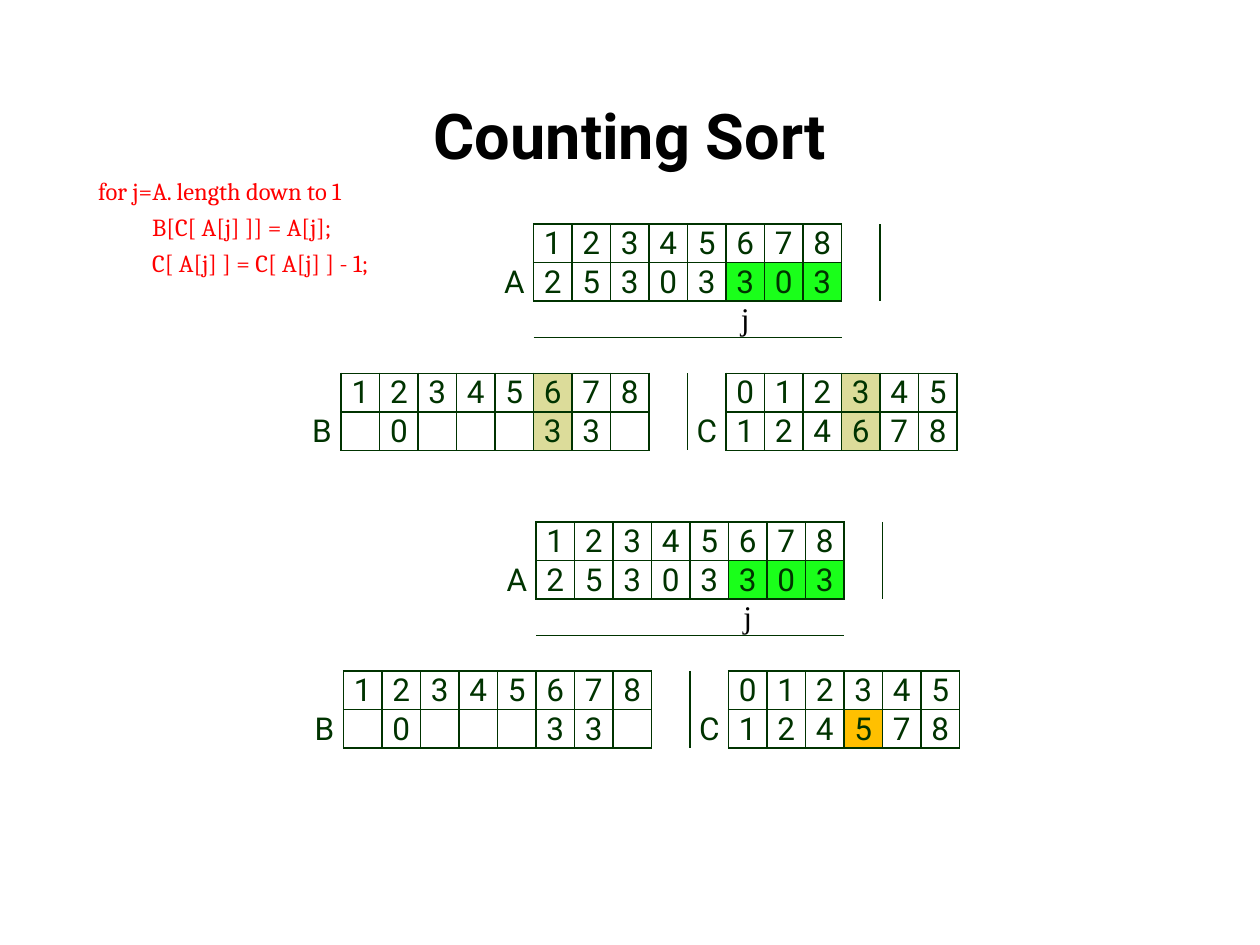
"""Build the counting sort slide with two array states."""
from dataclasses import dataclass, field
from typing import Any

from lxml import etree
from pptx import Presentation
from pptx import util as u
from pptx.dml import color
from pptx.enum import text as t
from pptx.oxml import ns

BLACK = color.RGBColor(0x00, 0x00, 0x00)
RED = color.RGBColor(0xFF, 0x00, 0x00)
DARK = color.RGBColor(0x00, 0x33, 0x00)
GREEN = color.RGBColor(0x1A, 0xFF, 0x1A)
KHAKI = color.RGBColor(0xDC, 0xDC, 0x9A)
AMBER = color.RGBColor(0xFF, 0xC0, 0x00)

PLAIN = "{2D5ABB26-0587-4C30-8999-92F81FD0307C}"
SIDES = {"L": (0, -1), "R": (0, 1), "T": (-1, 0), "B": (1, 0)}
HEAD = ["......12345678...", ".....A25303303...", "...........j.....",
        ".................", ".12345678..012345"]
DONE = {(1, col): GREEN for col in (11, 12, 13)}
CODE = [("for j=A. length down to 1", 0),
        ("B[C[ A[j] ]] = A[j];", 1.09),
        ("C[ A[j] ] = C[ A[j] ] - 1;", 1.09)]


@dataclass
class State:
    left: float
    top: float
    last: str
    fills: dict[tuple[int, int], color.RGBColor] = field(default_factory=dict)


STATES = [
    State(6.1, 4.52, "B 0   33 .C124678",
          {(row, col): KHAKI for row in (4, 5) for col in (6, 14)}),
    State(6.15, 10.52, "B 0   33 .C124578", {(5, 14): AMBER}),
]


def apply(obj: Any, vals: dict[str, Any]) -> None:
    for name, val in vals.items():
        setattr(obj, name, val)


def style(run: Any, face: str, size: float, tint: color.RGBColor,
          bold: bool = False) -> None:
    apply(run.font, {"name": face, "size": u.Pt(size), "bold": bold})
    run.font.color.rgb = tint


def boxed(rows: list[str], row: int, col: int) -> bool:
    inside = 0 <= row < len(rows) and 0 <= col < len(rows[0])
    return inside and (rows[row][col].isdigit() or rows[row][col] == " ")


def lined(rows: list[str], row: int, col: int, side: str) -> bool:
    down, over = SIDES[side]
    edge = boxed(rows, row, col) or boxed(rows, row + down, col + over)
    tail = side == "R" and not boxed(rows, row, col) and boxed(rows, row, col - 1)
    foot = side == "B" and row == 2 and boxed(rows, row - 1, col)
    return edge or tail or foot


def border(cell: Any, side: str) -> None:
    props = cell._tc.get_or_add_tcPr()
    line = etree.SubElement(props, ns.qn(f"a:ln{side}"), w=str(u.Pt(1)))
    fill = etree.SubElement(line, ns.qn("a:solidFill"))
    etree.SubElement(fill, ns.qn("a:srgbClr"), val=str(DARK))


def write(cell: Any, mark: str) -> None:
    apply(cell, {"margin_left": u.Cm(0.03), "margin_right": u.Cm(0.03),
                 "margin_top": u.Cm(0.03), "margin_bottom": 0})
    para = cell.text_frame.paragraphs[0]
    para.alignment = t.PP_ALIGN.CENTER
    if mark in " .":
        end = etree.SubElement(para._p, ns.qn("a:endParaRPr"))
        end.set("sz", "1000")
        return
    run = para.add_run()
    run.text = mark
    if mark == "j":
        style(run, "Times New Roman", 18, BLACK)
    else:
        style(run, "Roboto", 18, DARK)


def draw(slide: Any, state: State) -> None:
    rows = HEAD + [state.last]
    fills = DONE | state.fills
    frame = slide.shapes.add_table(
        len(rows), len(rows[0]), u.Cm(state.left), u.Cm(state.top),
        u.Cm(13.2), u.Cm(0.72 * len(rows)))
    grid = frame.table
    apply(grid, {"first_row": False, "horz_banding": False})
    grid._tbl.tblPr.find(ns.qn("a:tableStyleId")).text = PLAIN
    for row, marks in enumerate(rows):
        for col, mark in enumerate(marks):
            cell = grid.cell(row, col)
            write(cell, mark)
            for side in SIDES:
                if lined(rows, row, col, side):
                    border(cell, side)
            if (row, col) in fills:
                cell.fill.solid()
                cell.fill.fore_color.rgb = fills[row, col]
            else:
                cell.fill.background()


def head(slide: Any) -> None:
    title = slide.shapes.title
    apply(title, {"left": u.Cm(1.27), "top": u.Cm(1.12),
                  "width": u.Cm(22.86), "height": u.Cm(3.18)})
    apply(title.text_frame, {"text": "Counting Sort",
                             "auto_size": t.MSO_AUTO_SIZE.NONE,
                             "vertical_anchor": t.MSO_ANCHOR.MIDDLE})
    para = title.text_frame.paragraphs[0]
    para.alignment = t.PP_ALIGN.CENTER
    style(para.runs[0], "Roboto", 36, BLACK, True)


def code(slide: Any) -> None:
    box = slide.shapes.add_textbox(u.Cm(1.7), u.Cm(3.3), u.Cm(21.41), u.Cm(2.36))
    frame = box.text_frame
    apply(frame, {"word_wrap": True,
                  "auto_size": t.MSO_AUTO_SIZE.SHAPE_TO_FIT_TEXT})
    for num, (words, inset) in enumerate(CODE):
        para = frame.add_paragraph() if num else frame.paragraphs[0]
        apply(para, {"line_spacing": 1.21, "space_before": u.Pt(0.1)})
        para._p.get_or_add_pPr().set("marL", str(u.Cm(inset + 0.03)))
        run = para.add_run()
        run.text = words
        style(run, "Cambria", 14, RED)


def main() -> None:
    deck = Presentation()
    apply(deck, {"slide_width": u.Cm(25.4), "slide_height": u.Cm(19.05)})
    slide = deck.slides.add_slide(deck.slide_layouts[5])
    head(slide)
    for state in STATES:
        draw(slide, state)
    code(slide)
    deck.save("out.pptx")


if __name__ == "__main__":
    main()
